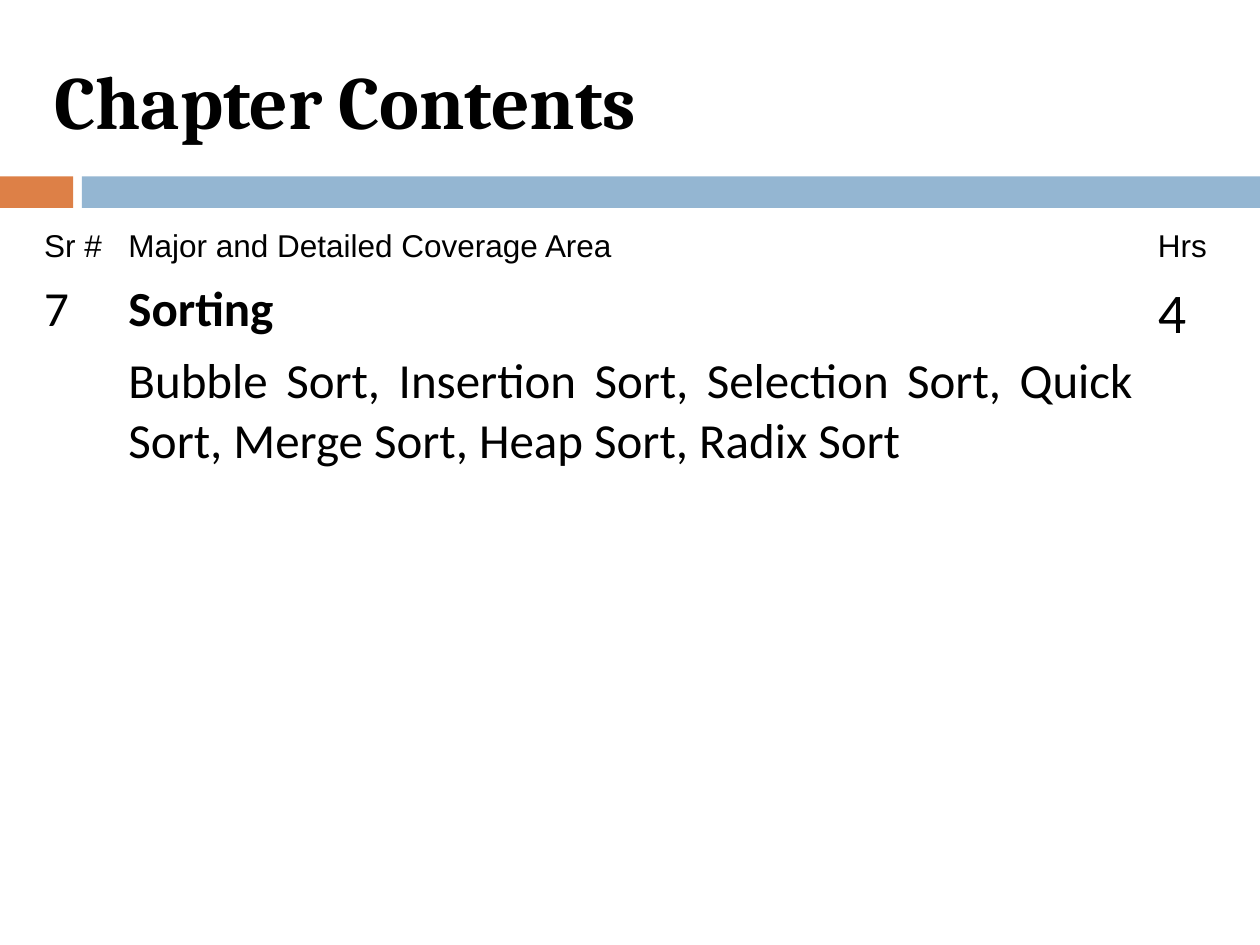
from dataclasses import dataclass

from pptx import Presentation
from pptx.dml.color import RGBColor
from pptx.enum.shapes import MSO_SHAPE
from pptx.enum.text import MSO_ANCHOR, MSO_AUTO_SIZE, PP_ALIGN
from pptx.util import Inches, Pt

RECTANGLE = MSO_SHAPE.RECTANGLE
MIDDLE = MSO_ANCHOR.MIDDLE
NO_AUTOFIT = MSO_AUTO_SIZE.NONE
LEFT, JUSTIFY = PP_ALIGN.LEFT, PP_ALIGN.JUSTIFY


@dataclass(frozen=True)
class Theme:
    ink: RGBColor = RGBColor(0x00, 0x00, 0x00)
    accent: RGBColor = RGBColor(0xDD, 0x80, 0x47)
    band: RGBColor = RGBColor(0x94, 0xB6, 0xD2)
    title_font: str = "Cambria"
    header_font: str = "Arial"
    body_font: str = "Calibri"
    title_size: int = 43
    header_size: int = 18
    body_size: int = 28
    hours_size: int = 32


class SlideBuilder:
    """Adds themed elements to the current slide."""

    def __init__(self, slide, theme):
        self.slide = slide
        self.theme = theme

    def set_text(self, frame, text, font_name, size, bold=False, align=LEFT):
        frame.text = text
        paragraph = frame.paragraphs[0]
        paragraph.alignment = align
        font = paragraph.font
        font.name, font.size, font.bold = font_name, Pt(size), bold
        font.color.rgb = self.theme.ink

    def title(self, text, left, top, width, height):
        heading = self.slide.shapes.title
        heading.left, heading.top = Inches(left), Inches(top)
        heading.width, heading.height = Inches(width), Inches(height)
        frame = heading.text_frame
        frame.auto_size = NO_AUTOFIT
        frame.vertical_anchor = MIDDLE
        self.set_text(frame, text, self.theme.title_font, self.theme.title_size, bold=True)

    def bar(self, left, width, color, top=1.4, height=0.25):
        stripe = self.slide.shapes.add_shape(
            RECTANGLE, Inches(left), Inches(top), Inches(width), Inches(height))
        stripe.shadow.inherit = False
        stripe.fill.solid()
        stripe.fill.fore_color.rgb = color
        stripe.line.fill.background()

    def table(self, left, top, column_widths, row_heights):
        grid = self.slide.shapes.add_table(
            len(row_heights), len(column_widths), Inches(left), Inches(top),
            Inches(sum(column_widths)), Inches(sum(row_heights))).table
        grid.first_row = grid.horz_banding = False
        for column, width in zip(grid.columns, column_widths):
            column.width = Inches(width)
        for row, height in zip(grid.rows, row_heights):
            row.height = Inches(height)
        for cell in grid.iter_cells():
            cell.fill.background()
        return grid


def main():
    theme = Theme()
    deck = Presentation()
    deck.slide_width, deck.slide_height = Inches(10), Inches(7.5)
    title_only = deck.slide_layouts[5]
    builder = SlideBuilder(deck.slides.add_slide(title_only), theme)

    builder.bar(0, 0.58, theme.accent)
    builder.bar(0.65, 9.35, theme.band)
    builder.title("Chapter Contents", 0.33, 0.25, 8.92, 1.08)

    contents = builder.table(0.25, 1.77, (0.67, 8.17, 0.67), (0.4, 0.57, 1.5))
    for column in (0, 2):
        contents.cell(1, column).merge(contents.cell(2, column))

    for column, label in enumerate(("Sr #", "Major and Detailed Coverage Area", "Hrs")):
        builder.set_text(contents.cell(0, column).text_frame, label,
                         theme.header_font, theme.header_size)

    topics = ("Bubble Sort, Insertion Sort, Selection Sort, Quick Sort, "
              "Merge Sort, Heap Sort, Radix Sort")
    for row, column, text, size, bold, align in (
        (1, 0, "7", theme.body_size, False, LEFT),
        (1, 1, "Sorting", theme.body_size, True, LEFT),
        (1, 2, "4", theme.hours_size, False, LEFT),
        (2, 1, topics, theme.body_size, False, JUSTIFY),
    ):
        builder.set_text(contents.cell(row, column).text_frame, text,
                         theme.body_font, size, bold, align)

    deck.save("out.pptx")


if __name__ == "__main__":
    main()
